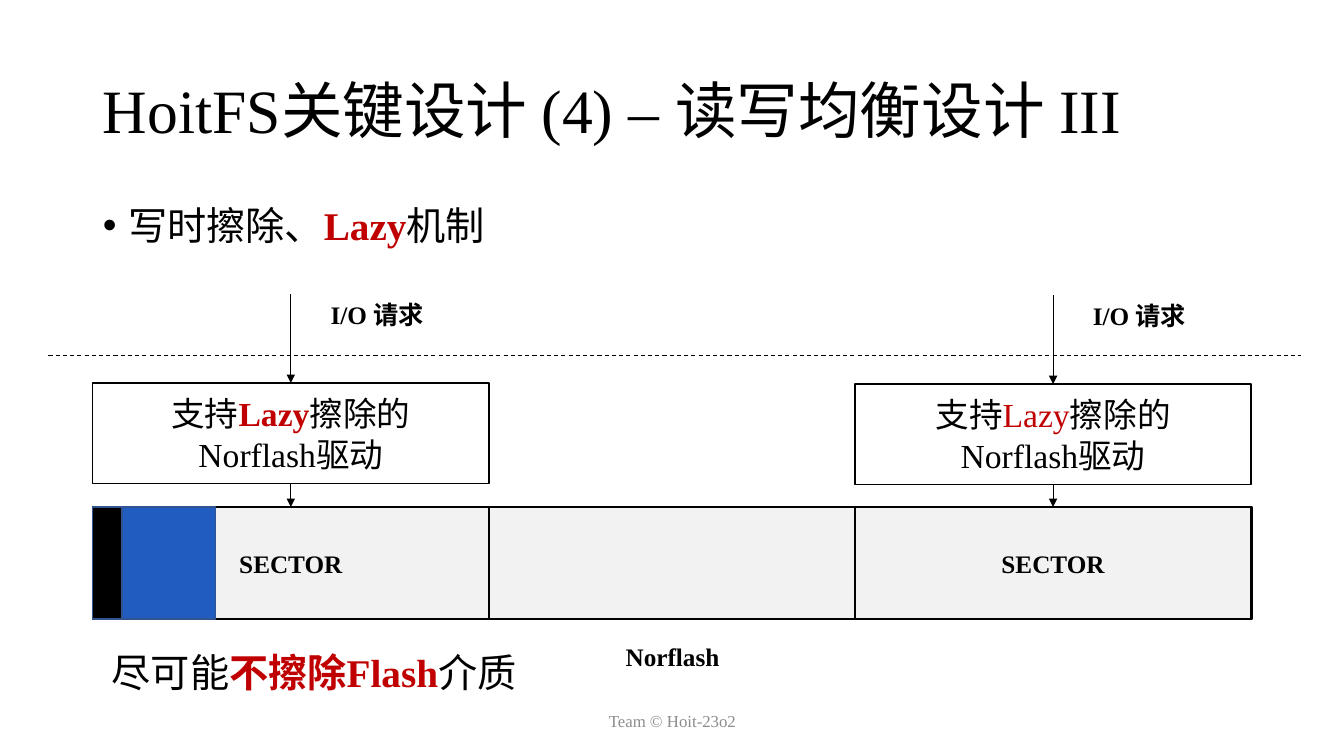
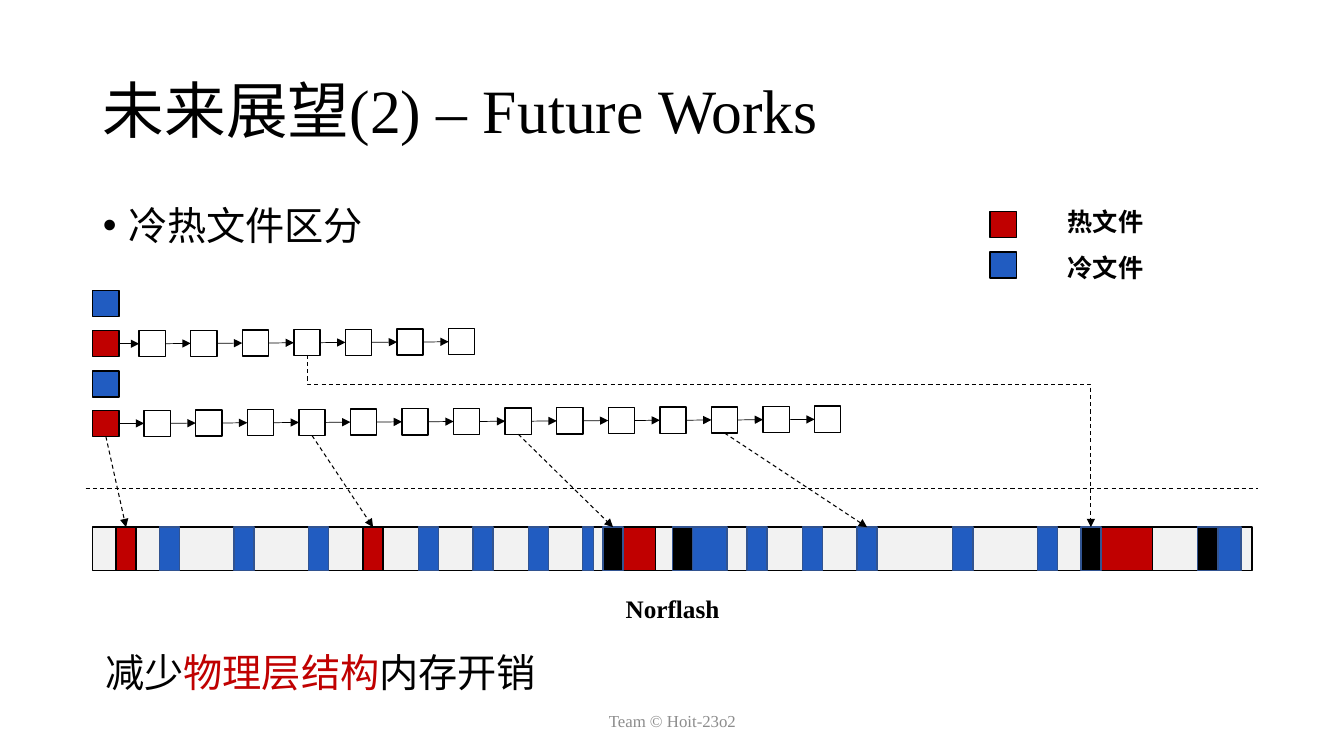
"""Build two slides on the lazy erase design and the hot and cold file plan."""
from dataclasses import dataclass
from typing import NamedTuple

import lxml.etree
import pptx
import pptx.dml.color
import pptx.enum.dml
import pptx.enum.shapes
import pptx.enum.text
import pptx.oxml.ns
import pptx.util

Inches = pptx.util.Inches
qn = pptx.oxml.ns.qn
ALIGN = pptx.enum.text.PP_ALIGN
ANCHOR = pptx.enum.text.MSO_ANCHOR


@dataclass(frozen=True)
class Theme:
    latin: str = "Times New Roman"
    east_asian: str = "Noto Sans CJK SC"
    black: str = "000000"
    white: str = "FFFFFF"
    hot: str = "C00000"
    cold: str = "215CC1"
    cold_edge: str = "325491"
    flash: str = "F2F2F2"
    footer: str = "8C8C8C"
    title_size: int = 44
    body_size: int = 28
    driver_size: int = 24
    label_size: int = 18
    footer_size: int = 12


THEME = Theme()


class Box(NamedTuple):
    left: float
    top: float
    width: float
    height: float


class Run(NamedTuple):
    text: str
    color: str | None = None
    bold: bool | None = None


class Point(NamedTuple):
    x: float
    y: float


class Stage(NamedTuple):
    left: float
    shift: float
    lazy_bold: bool


class Chain(NamedTuple):
    head_top: float
    first_left: float
    last_left: float
    last_top: float
    count: int


class Block(NamedTuple):
    left: float
    width: float
    fill: str
    edge: str


MARGIN = 0.92
CONTENT_WIDTH = 11.5
CELL = 0.26
FLASH_TOP, FLASH_HEIGHT = 5.23, 0.43
STAGES = [Stage(MARGIN, 0, True), Stage(8.48, 0.01, False)]
CHAINS = [Chain(3.28, 1.38, 4.45, 3.26, 7), Chain(4.07, 1.43, 8.08, 4.03, 14)]
COLD_BLOCKS = [
    (1.58, 0.2), (2.32, 0.2), (3.06, 0.2), (4.15, 0.2), (4.69, 0.2), (5.24, 0.2),
    (5.78, 0.11), (6.87, 0.34), (7.41, 0.2), (7.96, 0.2), (8.5, 0.2), (9.45, 0.2),
    (10.29, 0.2), (12.08, 0.23),
]
HOT_BLOCKS = [(1.15, 0.2), (3.6, 0.2), (6.18, 0.32), (10.91, 0.52)]
SUMMARY_BLOCKS = [(5.98, 0.2), (6.67, 0.2), (10.72, 0.2), (11.88, 0.2)]
BLOCKS = [
    Block(left, width, fill, edge)
    for places, fill, edge in (
        (COLD_BLOCKS, THEME.cold, THEME.cold_edge),
        (HOT_BLOCKS, THEME.hot, THEME.black),
        (SUMMARY_BLOCKS, THEME.black, THEME.cold_edge),
    )
    for left, width in places
]
POINTERS = {0: 1.15, 4: 3.6, 8: 5.98, 12: 8.5}


def rgb(color: str):
    """Turn a hex string into a colour."""
    return pptx.dml.color.RGBColor.from_string(color)


def format_paragraph(paragraph, runs, size, color=THEME.black, bold=False, align=ALIGN.CENTER):
    """Fill a paragraph with runs and set its shared font."""
    paragraph.alignment = align
    paragraph.space_before = pptx.util.Pt(0)
    font = paragraph.font
    font.name, font.size, font.bold = THEME.latin, pptx.util.Pt(size), bold
    font.color.rgb = rgb(color)
    latin = paragraph._p.pPr.find(qn("a:defRPr")).find(qn("a:latin"))
    east_asian = lxml.etree.Element(qn("a:ea"), typeface=THEME.east_asian)
    latin.addnext(east_asian)
    for part in runs:
        run = paragraph.add_run()
        run.text = part.text
        if part.color:
            run.font.color.rgb = rgb(part.color)
        if part.bold:
            run.font.bold = True


def write(shape, lines, size, **style):
    """Write lines of runs into a shape."""
    frame = shape.text_frame
    frame.word_wrap = True
    for index, runs in enumerate(lines):
        paragraph = frame.add_paragraph() if index else frame.paragraphs[0]
        format_paragraph(paragraph, runs, size, **style)


def add_label(slide, box: Box, runs, size=THEME.label_size, bold=True, anchor=ANCHOR.TOP, **style):
    """Add a text box with one paragraph."""
    shape = slide.shapes.add_textbox(*map(Inches, box))
    shape.text_frame.vertical_anchor = anchor
    write(shape, [runs], size, bold=bold, **style)


def add_rectangle(slide, box: Box, fill: str, edge=THEME.black):
    """Add a flat outlined rectangle."""
    shape = slide.shapes.add_shape(
        pptx.enum.shapes.MSO_SHAPE.RECTANGLE, *map(Inches, box))
    shape.shadow.inherit = False
    shape.fill.solid()
    shape.fill.fore_color.rgb = rgb(fill)
    shape.line.color.rgb = rgb(edge)
    shape.line.width = pptx.util.Pt(1)
    shape.text_frame.vertical_anchor = ANCHOR.MIDDLE
    return shape


def add_cell(slide, left: float, top: float, fill: str):
    """Add one small square of a list or legend."""
    return add_rectangle(slide, Box(left, top, CELL, CELL), fill)


def add_line(slide, start: Point, end: Point, dashed=False, arrow=True, elbow=False):
    """Add a thin line, optionally dashed, with an arrowhead or bent."""
    kinds = pptx.enum.shapes.MSO_CONNECTOR
    connector = slide.shapes.add_connector(
        kinds.ELBOW if elbow else kinds.STRAIGHT, *map(Inches, (*start, *end)))
    connector.line.color.rgb = rgb(THEME.black)
    connector.line.width = pptx.util.Pt(0.75 if dashed else 0.5)
    if dashed:
        connector.line.dash_style = pptx.enum.dml.MSO_LINE.DASH
    properties = connector._element.spPr
    if arrow:
        lxml.etree.SubElement(properties.find(qn("a:ln")), qn("a:tailEnd"), type="triangle")
    lxml.etree.SubElement(properties, qn("a:effectLst"))
    return connector


def join(slide, source, source_site: int, target, target_site: int, dashed=False):
    """Draw an arrow glued to two shapes."""
    connector = add_line(slide, Point(0, 0), Point(1, 1), dashed)
    connector.begin_connect(source, source_site)
    connector.end_connect(target, target_site)


def add_drop_elbow(slide, start: Point, end: Point, bend: float):
    """Draw a dashed arrow that goes down, across and down."""
    connector = add_line(slide, start, end, dashed=True, elbow=True)
    across, down = end.x - start.x, end.y - start.y
    connector.left = Inches((start.x + end.x - down) / 2)
    connector.top = Inches((start.y + end.y - across) / 2)
    connector.width, connector.height = Inches(down), Inches(across)
    transform = connector._element.spPr.find(qn("a:xfrm"))
    transform.set("rot", str(270 * 60000))
    transform.set("flipH", "1")
    guides = connector._element.spPr.find(qn("a:prstGeom")).get_or_add_avLst()
    lxml.etree.SubElement(guides, qn("a:gd"), name="adj1", fmla=f"val {round(bend * 100000)}")


def place(shape, box: Box):
    """Move a placeholder."""
    shape.left, shape.top, shape.width, shape.height = map(Inches, box)


def add_slide(presentation, title: str, bullet):
    """Add a slide with title, bullet and footer."""
    slide = presentation.slides.add_slide(presentation.slide_layouts[1])
    heading, body = slide.shapes.title, slide.placeholders[1]
    place(heading, Box(MARGIN, 0.4, CONTENT_WIDTH, 1.45))
    place(body, Box(MARGIN, 2, CONTENT_WIDTH, 0.66))
    for shape, anchor in ((heading, ANCHOR.MIDDLE), (body, ANCHOR.TOP)):
        shape.text_frame.vertical_anchor = anchor
        shape.text_frame.auto_size = pptx.enum.text.MSO_AUTO_SIZE.NONE
        shape.text_frame.paragraphs[0].line_spacing = 0.9
    write(heading, [[Run(title)]], THEME.title_size, align=ALIGN.LEFT)
    properties = body.text_frame.paragraphs[0]._p.get_or_add_pPr()
    properties.set("marL", str(Inches(0.25)))
    properties.set("indent", str(-Inches(0.25)))
    lxml.etree.SubElement(properties, qn("a:buFont"), typeface="Arial")
    lxml.etree.SubElement(properties, qn("a:buChar"), char="•")
    write(body, [bullet], THEME.body_size, align=ALIGN.LEFT)
    add_label(slide, Box(4.42, 6.95, 4.5, 0.4), [Run("Team © Hoit-23o2")],
              THEME.footer_size, bold=False, anchor=ANCHOR.MIDDLE, color=THEME.footer)
    return slide


def add_stage(slide, stage: Stage):
    """Draw a request, its driver and the sector below."""
    width, center = 3.93, stage.left + 3.93 / 2
    sector = add_rectangle(slide, Box(stage.left, 5.03, width, 1.11), THEME.flash)
    write(sector, [[Run("SECTOR")]], THEME.label_size, bold=True)
    driver = add_rectangle(slide, Box(stage.left, 3.8 + stage.shift, width, 1), THEME.white)
    lazy = Run("Lazy", THEME.hot, stage.lazy_bold)
    write(driver, [[Run("支持"), lazy, Run("擦除的")], [Run("Norflash驱动")]], THEME.driver_size)
    request_top = 2.92 + stage.shift
    request = add_line(slide, Point(center, request_top), Point(center, 3.8))
    request.end_connect(driver, 0)
    add_label(slide, Box(center, request_top, 1.71, 0.4), [Run("I/O 请求")])
    join(slide, driver, 2, sector, 0)


def add_chain(slide, chain: Chain):
    """Draw a hot list head with its linked nodes."""
    nodes = [add_cell(slide, MARGIN, chain.head_top, THEME.hot)]
    for index in range(chain.count):
        share = index / (chain.count - 1)
        left = chain.first_left + share * (chain.last_left - chain.first_left)
        top = chain.head_top + share * (chain.last_top - chain.head_top)
        nodes.append(add_cell(slide, left, top, THEME.white))
        join(slide, nodes[-2], 3, nodes[-1], 1)
    return nodes


def build_lazy_slide(presentation):
    """Build the slide on lazy erasing."""
    slide = add_slide(presentation, "HoitFS关键设计 (4) – 读写均衡设计 III",
                      [Run("写时擦除、"), Run("Lazy", THEME.hot, True), Run("机制")])
    add_rectangle(slide, Box(MARGIN, 5.03, CONTENT_WIDTH, 1.11), THEME.flash)
    add_line(slide, Point(0.48, 3.53), Point(12.9, 3.53), dashed=True, arrow=False)
    for stage in STAGES:
        add_stage(slide, stage)
    add_rectangle(slide, Box(1.09, 5.03, 1.05, 1.11), THEME.cold, THEME.cold_edge)
    add_rectangle(slide, Box(MARGIN, 5.03, 0.29, 1.11), THEME.black, THEME.cold_edge)
    add_label(slide, Box(5.98, 6.31, 1.38, 0.4), [Run("Norflash")])
    add_label(slide, Box(MARGIN, 6.38, 4.39, 0.57),
              [Run("尽可能"), Run("不擦除Flash", THEME.hot, True), Run("介质")],
              THEME.body_size, bold=False)


def build_future_slide(presentation):
    """Build the slide on hot and cold files."""
    slide = add_slide(presentation, "未来展望(2) – Future Works", [Run("冷热文件区分")])
    add_rectangle(slide, Box(MARGIN, FLASH_TOP, CONTENT_WIDTH, FLASH_HEIGHT), THEME.flash)
    blocks = {
        block.left: add_rectangle(
            slide, Box(block.left, FLASH_TOP, block.width, FLASH_HEIGHT), block.fill, block.edge)
        for block in BLOCKS
    }
    add_line(slide, Point(0.85, 4.85), Point(12.48, 4.85), dashed=True, arrow=False)
    for top in (2.88, 3.68):
        add_cell(slide, MARGIN, top, THEME.cold)
    _, long_chain = [add_chain(slide, chain) for chain in CHAINS]
    for node, left in POINTERS.items():
        join(slide, long_chain[node], 2, blocks[left], 0, dashed=True)
    add_drop_elbow(slide, Point(3.05, 3.52), Point(10.82, FLASH_TOP), 0.17)
    add_label(slide, Box(5.98, 5.84, 1.38, 0.4), [Run("Norflash")])
    for name, color, cell_top, label_top in (
            ("热文件", THEME.hot, 2.1, 2), ("冷文件", THEME.cold, 2.5, 2.45)):
        add_cell(slide, 9.82, cell_top, color)
        add_label(slide, Box(10.49, label_top, 1.09, 0.4), [Run(name)], align=ALIGN.LEFT)
    add_label(slide, Box(MARGIN, 6.38, 4.52, 0.57),
              [Run("减少"), Run("物理层结构", THEME.hot), Run("内存开销")],
              THEME.body_size, bold=False)


def main():
    """Build and save the presentation."""
    presentation = pptx.Presentation()
    presentation.slide_width, presentation.slide_height = Inches(13.33), Inches(7.5)
    build_lazy_slide(presentation)
    build_future_slide(presentation)
    presentation.save("out.pptx")


if __name__ == "__main__":
    main()
